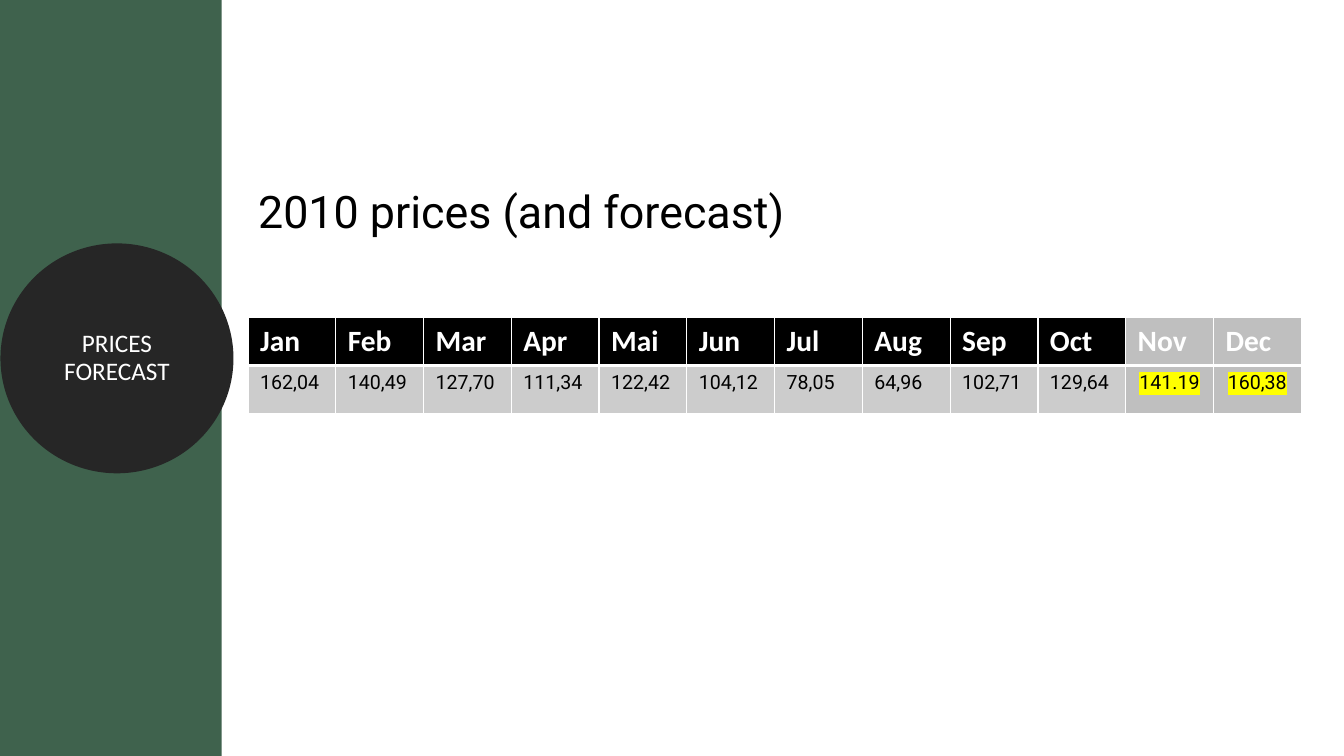
from dataclasses import dataclass

from lxml.etree import SubElement
from pptx import Presentation
from pptx.dml.color import RGBColor
from pptx.enum.shapes import MSO_SHAPE
from pptx.enum.text import MSO_ANCHOR, PP_ALIGN
from pptx.oxml.ns import qn
from pptx.util import Inches, Pt


@dataclass(frozen=True)
class Theme:
    """Colours, fonts and type sizes of the slide."""
    green: str = "3F624D"
    charcoal: str = "262626"
    black: str = "000000"
    white: str = "FFFFFF"
    price_grey: str = "CCCCCC"
    forecast_grey: str = "BFBFBF"
    highlight: str = "FFFF00"
    label_font: str = "Calibri"
    body_font: str = "Roboto"
    title_size: int = 32
    month_size: int = 21
    badge_size: int = 18
    price_size: int = 14


THEME = Theme()
WIDTH, HEIGHT = 13.33, 7.5
CONTENT_LEFT = 2.46
PRICES = {
    "Jan": "162,04", "Feb": "140,49", "Mar": "127,70", "Apr": "111,34",
    "Mai": "122,42", "Jun": "104,12", "Jul": "78,05", "Aug": "64,96",
    "Sep": "102,71", "Oct": "129,64", "Nov": "141.19", "Dec": "160,38",
}
FORECAST_MONTHS = {"Nov", "Dec"}


def apply_format(target, values):
    """Set each attribute named in values on target."""
    for name, value in values.items():
        setattr(target, name, value)


def write(frame, text, font, size, colour, bold=False, align=PP_ALIGN.LEFT):
    """Put one formatted run in the frame and return it with its paragraph."""
    paragraph = frame.paragraphs[0]
    paragraph.alignment = align
    run = paragraph.add_run()
    run.text = text
    apply_format(run.font, {"name": font, "size": Pt(size), "bold": bold})
    run.font.color.rgb = RGBColor.from_string(colour)
    return paragraph, run


def add_solid(slide, preset, box, colour, outline=None):
    """Add a plain filled shape in the box, with an outline width if given."""
    solid = slide.shapes.add_shape(preset, *map(Inches, box))
    solid.shadow.inherit = False
    solid.fill.solid()
    solid.fill.fore_color.rgb = RGBColor.from_string(colour)
    if outline:
        solid.line.color.rgb = RGBColor.from_string(colour)
        solid.line.width = Pt(outline)
    else:
        solid.line.fill.background()
    return solid


def add_sidebar(slide, box):
    """Draw the green band and the round section badge at its middle."""
    left, top, width, height = box
    add_solid(slide, MSO_SHAPE.RECTANGLE, box, THEME.green)
    badge_width, badge_height = 2.12, 2.09
    badge_box = (left + 0.1, top + height / 3 + 0.01, badge_width, badge_height)
    badge = add_solid(slide, MSO_SHAPE.OVAL, badge_box, THEME.charcoal, 13.75)
    apply_format(badge.text_frame, {"word_wrap": True, "vertical_anchor": MSO_ANCHOR.MIDDLE})
    paragraph, _ = write(badge.text_frame, "PRICES FORECAST", THEME.label_font,
                         THEME.badge_size, THEME.white, align=PP_ALIGN.CENTER)
    apply_format(paragraph, {"line_spacing": 0.9, "space_after": Pt(6)})


def add_title(slide, box):
    """Place the slide title in the box."""
    title = slide.shapes.title
    apply_format(title, dict(zip(("left", "top", "width", "height"), map(Inches, box))))
    apply_format(title.text_frame, {"word_wrap": True, "vertical_anchor": MSO_ANCHOR.TOP})
    paragraph, _ = write(title.text_frame, "2010 prices (and forecast)",
                         THEME.body_font, THEME.title_size, THEME.black)
    apply_format(paragraph, {"line_spacing": 1.0, "space_before": Pt(0)})


def style_cell(cell, fill, bottom):
    """Give a cell its margins, white borders and fill."""
    apply_format(cell, {"margin_left": Inches(0.12), "margin_right": Inches(0.12),
                        "margin_top": Inches(0.06), "margin_bottom": Inches(0.06)})
    properties = cell._tc.get_or_add_tcPr()
    for side, points in (("L", 1), ("R", 1), ("T", 1), ("B", bottom)):
        border = SubElement(properties, qn(f"a:ln{side}"), w=str(Pt(points)))
        SubElement(SubElement(border, qn("a:solidFill")), qn("a:srgbClr"), val=THEME.white)
    cell.fill.solid()
    cell.fill.fore_color.rgb = RGBColor.from_string(fill)


def highlight(run):
    """Mark the run with the highlight colour."""
    properties = run.font._element
    marker = SubElement(properties, qn("a:highlight"))
    SubElement(marker, qn("a:srgbClr"), val=THEME.highlight)
    properties.find(qn("a:latin")).addprevious(marker)


def add_price_table(slide, box):
    """Build the table of months over prices, with forecast months set apart."""
    table = slide.shapes.add_table(2, len(PRICES), *map(Inches, box)).table
    for column, (month, price) in enumerate(PRICES.items()):
        forecast = month in FORECAST_MONTHS
        month_cell, price_cell = table.cell(0, column), table.cell(1, column)
        style_cell(month_cell, THEME.forecast_grey if forecast else THEME.black, 3)
        style_cell(price_cell, THEME.forecast_grey if forecast else THEME.price_grey, 1)
        write(month_cell.text_frame, month, THEME.label_font, THEME.month_size,
              THEME.white, bold=True)
        _, price_run = write(price_cell.text_frame, price, THEME.body_font,
                             THEME.price_size, THEME.black,
                             align=PP_ALIGN.CENTER if forecast else PP_ALIGN.LEFT)
        if forecast:
            highlight(price_run)


def build_price_slide(deck):
    """Compose the price slide from its sidebar, table and title."""
    slide = deck.slides.add_slide(deck.slide_layouts[5])
    add_sidebar(slide, (0, 0, 2.2, HEIGHT))
    add_price_table(slide, (CONTENT_LEFT, 3.15, 10.45, 0.95))
    add_title(slide, (CONTENT_LEFT, 1.77, 9.65, 0.64))


def main():
    """Create the deck and save it."""
    deck = Presentation()
    apply_format(deck, {"slide_width": Inches(WIDTH), "slide_height": Inches(HEIGHT)})
    build_price_slide(deck)
    deck.save("out.pptx")


if __name__ == "__main__":
    main()
